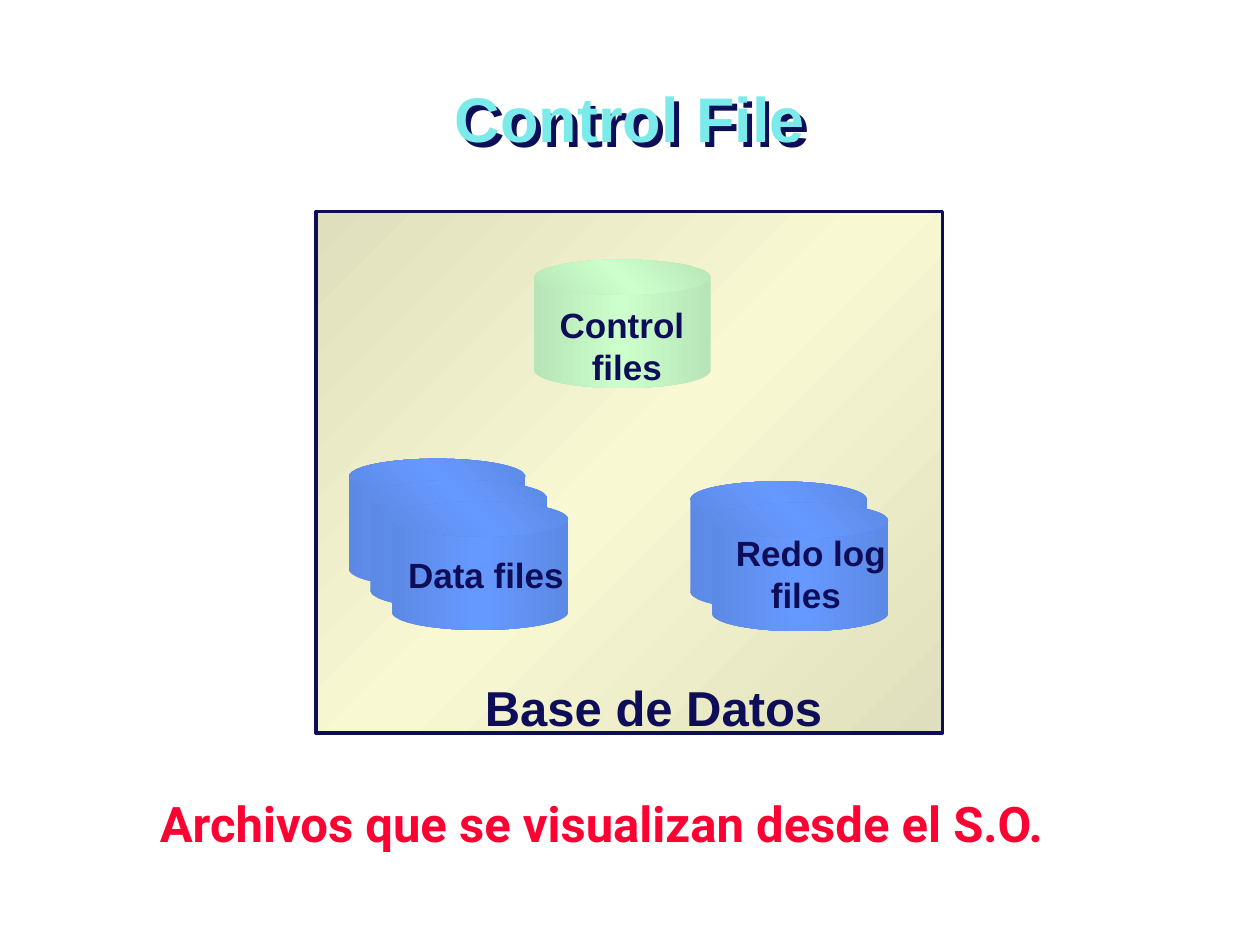
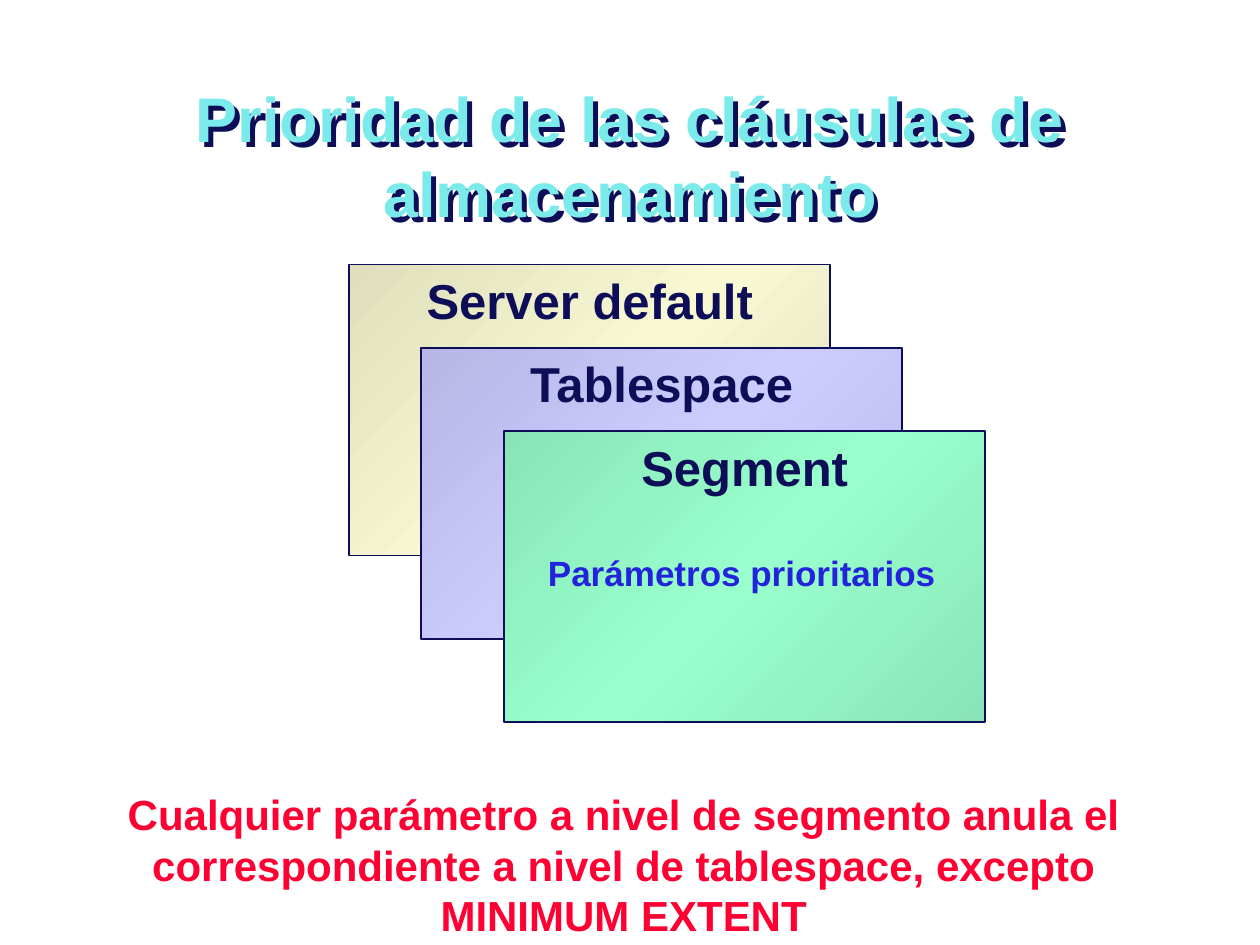
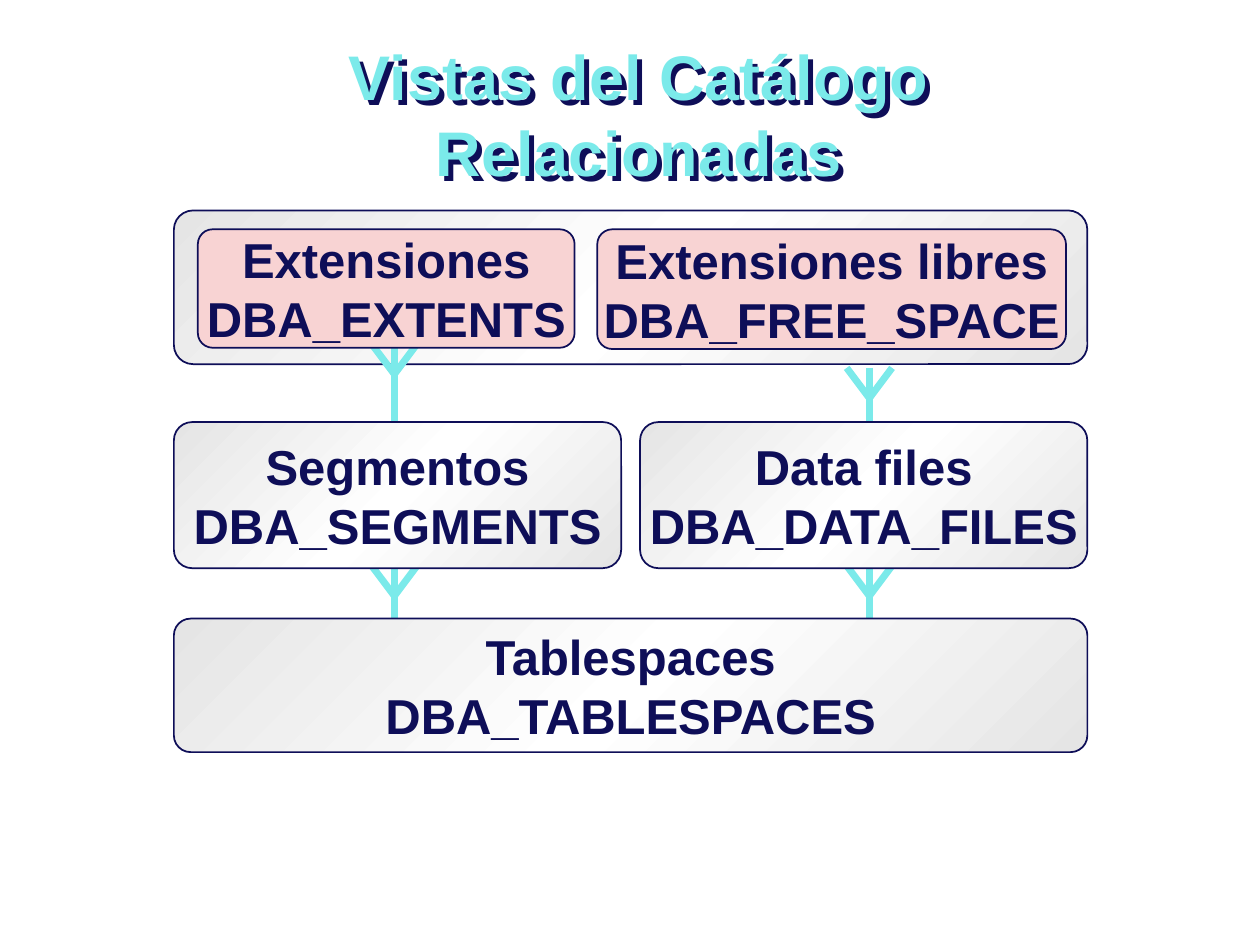
"""Build three slides on database files, storage priority and catalogue views."""
from copy import deepcopy
from lxml import etree
from pptx import Presentation
from pptx import util as u
from pptx.dml.color import RGBColor
from pptx.enum import shapes, text
from pptx.oxml.ns import qn

NAVY = RGBColor(0x0E, 0x0E, 0x58)
CYAN = RGBColor(0x7B, 0xEA, 0xEA)
RED = RGBColor(0xFF, 0x00, 0x33)
INDIGO = RGBColor(0x23, 0x23, 0xDC)
PINK = RGBColor(0xF8, 0xD3, 0xD3)
CREAM = (RGBColor(0xDF, 0xDF, 0xBD), RGBColor(0xF8, 0xF8, 0xD3))
MINT = (RGBColor(0xB7, 0xE5, 0xB7), RGBColor(0xCC, 0xFF, 0xCC))
BLUE = (RGBColor(0x5C, 0x89, 0xE5), RGBColor(0x66, 0x99, 0xFF))
LILAC = (RGBColor(0xB7, 0xB7, 0xE5), RGBColor(0xCC, 0xCC, 0xFF))
GREEN = (RGBColor(0x89, 0xE5, 0xB7), RGBColor(0x99, 0xFF, 0xCC))
GREY = (RGBColor(0xE5, 0xE5, 0xE5), RGBColor(0xFF, 0xFF, 0xFF))

RECT = shapes.MSO_SHAPE.RECTANGLE
ROUND = shapes.MSO_SHAPE.ROUNDED_RECTANGLE
OVAL = shapes.MSO_SHAPE.OVAL
LEFT, CENTER = text.PP_ALIGN.LEFT, text.PP_ALIGN.CENTER
TOP, MIDDLE = text.MSO_ANCHOR.TOP, text.MSO_ANCHOR.MIDDLE

prs = Presentation()
prs.slide_width, prs.slide_height = u.Inches(10), u.Inches(7.5)
COL = prs.slide_width / 10


def add_box(s, kind, at, fill, angle=45, line=None):
    """Add a preset shape with a plain fill or a mirrored gradient."""
    sp = s.shapes.add_shape(kind, *(int(v * COL) for v in at))
    sp.shadow.inherit = False
    if isinstance(fill, RGBColor):
        sp.fill.solid()
        sp.fill.fore_color.rgb = fill
    else:
        sp.fill.gradient()
        sp.fill.gradient_angle = -angle % 360
        stops = sp._element.xpath(".//a:gsLst")[0]
        stops.append(deepcopy(stops[-1]))
        edge, middle = fill
        for stop, place, color in zip(sp.fill.gradient_stops, (0, 0.5, 1), (edge, middle, edge)):
            stop.position = place
            stop.color.rgb = color
    if line:
        sp.line.color.rgb = NAVY
        sp.line.width = u.Pt(line)
    else:
        sp.line.fill.background()
    if kind == ROUND:
        sp.adjustments[0] = 0.125
    return sp


def write(sp, words, size, color=NAVY, align=CENTER, anchor=TOP, wrap=False, font="Arial"):
    """Put bold text into a shape."""
    tf = sp.text_frame
    tf.text = words
    tf.word_wrap = wrap
    tf.vertical_anchor = anchor
    for p in tf.paragraphs:
        p.alignment = align
        p.font.name, p.font.size, p.font.bold = font, u.Pt(size), True
        p.font.color.rgb = color


titles = [
    ("Control File", 1.01, 0.58),
    ("Prioridad de las cláusulas de almacenamiento", 1.01, 0.58),
    ("Vistas del Catálogo Relacionadas", 1.08, 0.25),
]
slides = []
for words, x, y in titles:
    s = prs.slides.add_slide(prs.slide_layouts[6])
    sp = s.shapes.add_textbox(*(int(v * COL) for v in (x, y, 7.98, 0.96)))
    write(sp, words, 36, CYAN, wrap=True)
    sp.shadow.inherit = False
    effects = sp._element.spPr.find(qn("a:effectLst"))
    shadow = etree.SubElement(effects, qn("a:outerShdw"), dist=str(u.Pt(4)), dir="2700000", algn="ctr", rotWithShape="0")
    etree.SubElement(shadow, qn("a:srgbClr"), val=str(NAVY))
    slides.append(s)
files, priority, views = slides

add_box(files, RECT, (2.51, 1.68, 4.97, 4.14), CREAM, line=2)
stacks = [(4.24, 2.06, 1, MINT), (2.77, 3.64, 3, BLUE), (5.48, 3.82, 2, BLUE)]
for left, top, count, fill in stacks:
    for i in range(count):
        x, y = left + i * 0.17, top + i * 0.17
        add_box(files, OVAL, (x, y + 0.74, 1.4, 0.28), fill, 0)
        add_box(files, RECT, (x, y + 0.13, 1.4, 0.76), fill, 0)
        add_box(files, OVAL, (x, y, 1.4, 0.28), fill, 315)

for left, i in ((2.77, 0), (3.34, 1), (4, 2)):
    words, fill = (("Server default", CREAM), ("Tablespace", LILAC), ("Segment", GREEN))[i]
    sp = add_box(priority, RECT, (left, 2.1 + i * 0.66, 3.82, 2.31), fill, line=1)
    write(sp, words, 28)

labels = [
    (files, (4.29, 2.36, 1.37, 0.82), "Control \vfiles", 20, NAVY, CENTER, False, "Arial"),
    (files, (3.75, 5.33, 2.88, 0.57), "Base de Datos", 28, NAVY, LEFT, False, "Arial"),
    (files, (3.14, 4.34, 1.44, 0.43), "Data files", 20, NAVY, LEFT, False, "Arial"),
    (files, (5.74, 4.17, 1.39, 1.1), "Redo log\vfiles ", 20, NAVY, CENTER, False, "Arial"),
    (files, (1.17, 6.25, 7.8, 0.57), "Archivos que se visualizan desde el S.O.", 28, RED, LEFT, False, "Roboto"),
    (priority, (4.25, 4.33, 3.28, 0.44), "Parámetros prioritarios", 20, INDIGO, LEFT, False, "Arial"),
    (priority, (0.4, 6.21, 9.1, 1.3),
     "Cualquier parámetro a nivel de segmento anula el correspondiente a nivel de tablespace, "
     "excepto MINIMUM EXTENT", 24, RED, CENTER, True, "Arial"),
]
for s, at, words, size, color, align, wrap, font in labels:
    sp = s.shapes.add_textbox(*(int(v * COL) for v in at))
    write(sp, words, size, color, align, wrap=wrap, font=font)

add_box(views, ROUND, (1.38, 1.67, 7.25, 1.22), GREY, line=1)
for x, top, bottom in ((3.13, 4.49, 5.1), (6.9, 4.49, 5.1), (3.13, 2.73, 3.42), (6.9, 2.92, 3.39)):
    for shift, end in ((0, bottom), (-0.18, top + 0.24), (0.18, top + 0.24)):
        ends = (int(v * COL) for v in (x + shift, top, x, end))
        line = views.shapes.add_connector(shapes.MSO_CONNECTOR.STRAIGHT, *ends)
        line.line.color.rgb = CYAN
        line.line.width = u.Pt(4)
        etree.SubElement(line._element.spPr, qn("a:effectLst"))

entities = [
    ((1.38, 4.91, 7.25, 1.06), GREY, "Tablespaces\nDBA_TABLESPACES"),
    ((1.38, 3.35, 3.55, 1.16), GREY, "Segmentos\nDBA_SEGMENTS"),
    ((5.08, 3.35, 3.55, 1.16), GREY, "Data files\nDBA_DATA_FILES"),
    ((4.74, 1.82, 3.72, 0.95), PINK, "Extensiones libres\nDBA_FREE_SPACE"),
    ((1.57, 1.82, 2.99, 0.94), PINK, "Extensiones\nDBA_EXTENTS"),
]
for at, fill, words in entities:
    write(add_box(views, ROUND, at, fill, line=1), words, 28, anchor=MIDDLE)

prs.save("out.pptx")
